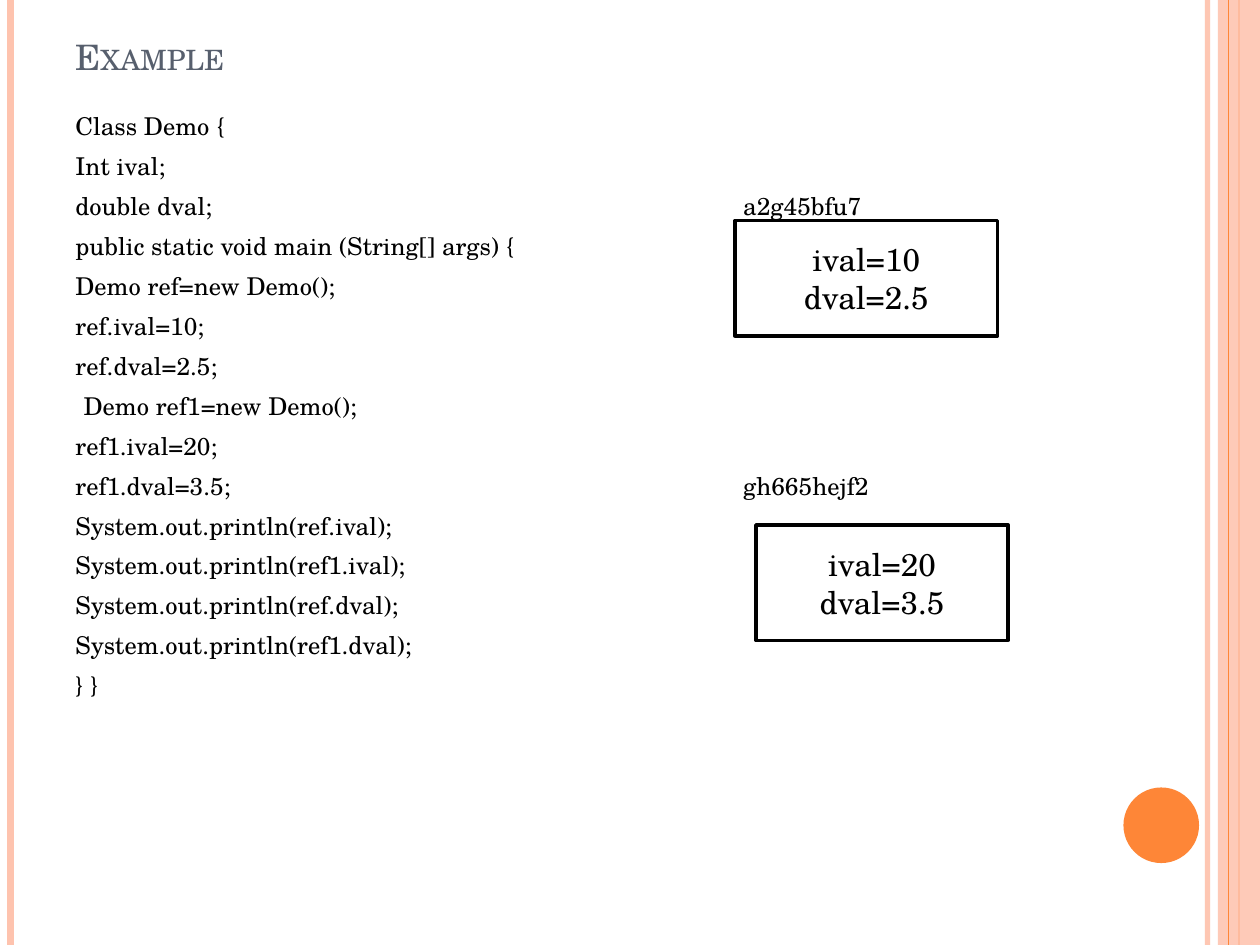
from collections import namedtuple

from lxml.etree import SubElement
from pptx import Presentation
from pptx.dml.color import RGBColor
from pptx.enum.shapes import MSO_CONNECTOR as Connector, MSO_SHAPE as Shape
from pptx.enum.text import MSO_ANCHOR as Anchor, PP_ALIGN as Align
from pptx.oxml.ns import qn
from pptx.util import Inches, Pt

Box = namedtuple("Box", "left top width height")

COLUMNS, ROWS = 120, 90
CELL = Inches(10) / COLUMNS
FONT = "TeX Gyre Schola"
COLORS = {
    "paper": "FFFFFF",
    "ink": "000000",
    "title": "575F6D",
    "orange": "FE8637",
    "peach": "FEC3AE",
}
ADDRESS_TAB = 63.6
CODE = [
    "Class Demo {",
    "Int ival;",
    "double dval;\ta2g45bfu7",
    "public static void main (String[] args) {",
    "Demo ref=new Demo();",
    "ref.ival=10;",
    "ref.dval=2.5;",
    "\u00a0Demo ref1=new Demo();",
    "ref1.ival=20;",
    "ref1.dval=3.5;\tgh665hejf2",
    "System.out.println(ref.ival);",
    "System.out.println(ref1.ival);",
    "System.out.println(ref.dval);",
    "System.out.println(ref1.dval);",
    "} }",
]
OBJECTS = [
    (Box(70, 21, 25, 11), ["ival=10", "dval=2.5"]),
    (Box(72, 50, 24, 11), ["ival=20", "dval=3.5"]),
]


def cells(*counts):
    return [round(count * CELL) for count in counts]


def color(name):
    return RGBColor.from_string(COLORS[name])


def set_opacity(holder, percent):
    tint = next(holder.iter(qn("a:srgbClr")))
    SubElement(tint, qn("a:alpha"), val=str(percent * 1000))


def add_stripe(page, box, column, name, weight, opacity=100):
    x = box.left + column
    stripe = page.shapes.add_connector(
        Connector.STRAIGHT, *cells(x, box.top, x, box.top + box.height))
    stripe.line.color.rgb = color(name)
    stripe.line.width = Pt(weight)
    if opacity < 100:
        set_opacity(stripe.line._get_or_add_ln(), opacity)
    SubElement(stripe._element.spPr, qn("a:effectLst"))


def add_block(page, box, name, kind=Shape.RECTANGLE):
    block = page.shapes.add_shape(kind, *cells(*box))
    block.shadow.inherit = False
    block.fill.solid()
    block.fill.fore_color.rgb = color(name)
    block.line.fill.background()
    return block


def write(frame, lines, size, name, anchor=Anchor.TOP, align=Align.LEFT, before=0):
    frame.word_wrap = True
    frame.vertical_anchor = anchor
    for index, line in enumerate(lines):
        para = frame.paragraphs[0] if index == 0 else frame.add_paragraph()
        para.add_run().text = line
        para.alignment = align
        para.space_before = Pt(before)
        para.font.name = FONT
        para.font.size = Pt(size)
        para.font.color.rgb = color(name)


def add_frame(page, box):
    add_stripe(page, box, 115, "peach", 3, 93)
    add_stripe(page, box, 1, "peach", 4.5)
    add_stripe(page, box, 118, "orange", 1.5)
    band = add_block(page, Box(box.left + 116, box.top, 4, box.height), "peach")
    set_opacity(band._element.spPr, 87)
    add_stripe(page, box, 117, "orange", 0.75)
    add_block(page, Box(box.left + 107, box.top + 75, 7.2, 7.2), "orange", Shape.OVAL)


def add_title(page, box, text):
    frame = page.shapes.add_textbox(*cells(*box)).text_frame
    write(frame, [text], 20, "title", Anchor.BOTTOM)
    for span in frame.paragraphs[0].runs:
        span.font._element.set("cap", "small")


def add_code(page, box, lines):
    frame = page.shapes.add_textbox(*cells(*box)).text_frame
    write(frame, lines, 14, "ink", before=6)
    for para in frame.paragraphs:
        if "\t" in para.text:
            properties = para._element.get_or_add_pPr()
            stops = properties.makeelement(qn("a:tabLst"), {})
            SubElement(stops, qn("a:tab"), pos=str(cells(ADDRESS_TAB)[0]), algn="l")
            properties.find(qn("a:defRPr")).addprevious(stops)


def add_object(page, box, fields):
    block = add_block(page, box, "paper")
    block.line.color.rgb = color("ink")
    block.line.width = Pt(2)
    write(block.text_frame, fields, 18, "ink", Anchor.MIDDLE, Align.CENTER)


deck = Presentation()
deck.slide_width, deck.slide_height = cells(COLUMNS, ROWS)
page = deck.slides.add_slide(deck.slide_layouts[6])
add_frame(page, Box(0, 0, COLUMNS, ROWS))
add_title(page, Box(6, 3.6, 98, 4.4), "Example")
add_code(page, Box(6, 10, 98, 75), CODE)
for box, fields in OBJECTS:
    add_object(page, box, fields)
deck.save("out.pptx")
